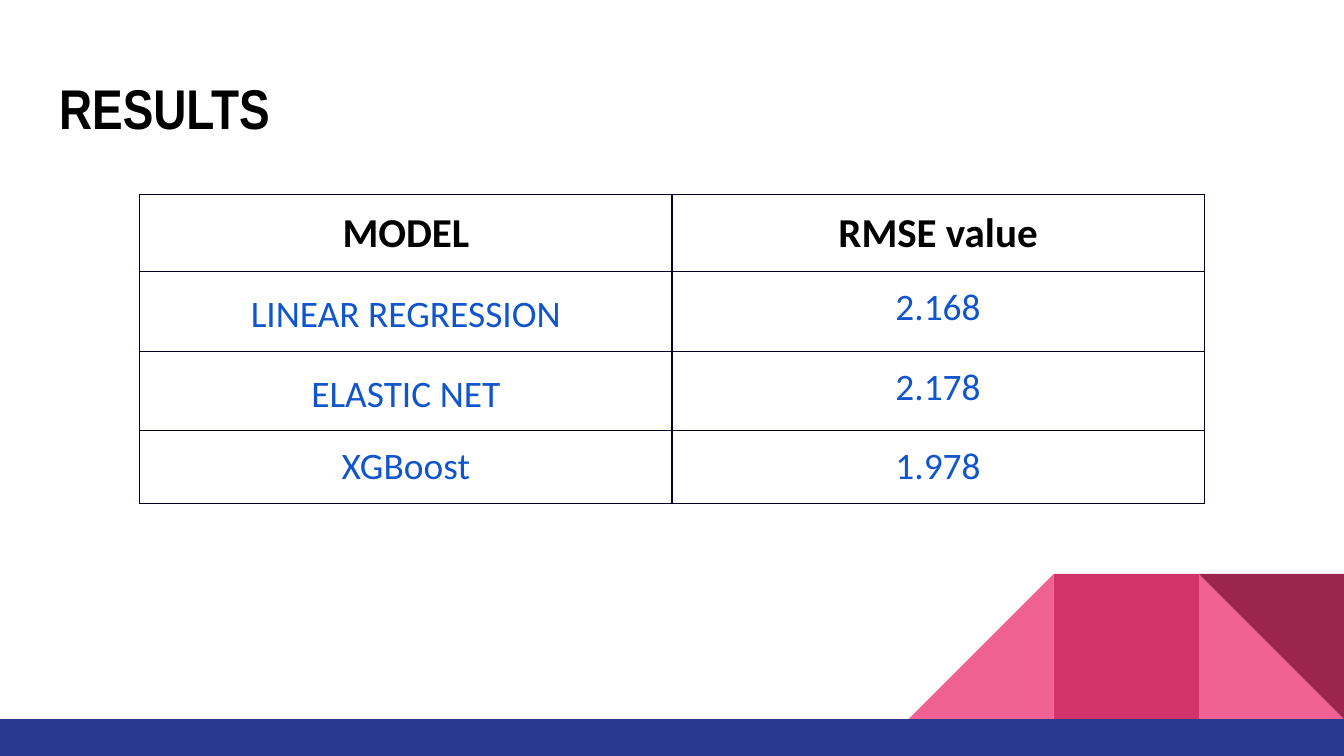
from lxml import etree
from pptx import Presentation
from pptx.dml.color import RGBColor
from pptx.enum.shapes import MSO_SHAPE as Shape
from pptx.enum.text import MSO_ANCHOR as Anchor, PP_ALIGN as Align
from pptx.oxml.ns import qn
from pptx.util import Inches, Pt

BLACK = RGBColor(0x00, 0x00, 0x00)
VALUE_BLUE = RGBColor(0x11, 0x55, 0xCC)
BORDER = RGBColor(0x02, 0x00, 0x25)
PINK = RGBColor(0xF0, 0x62, 0x92)
ROSE = RGBColor(0xD2, 0x33, 0x69)
WINE = RGBColor(0x9C, 0x25, 0x4D)
NAVY = RGBColor(0x2A, 0x39, 0x90)


def add_block(kind, left, top, width, height, color, rotation=0):
    block = slide.shapes.add_shape(
        kind, Inches(left), Inches(top), Inches(width), Inches(height))
    block.rotation = rotation
    block.shadow.inherit = False
    block.fill.solid()
    block.fill.fore_color.rgb = color
    block.line.fill.background()


def set_borders(cell, color, width):
    properties = cell._tc.get_or_add_tcPr()
    for position, side in enumerate(("a:lnL", "a:lnR", "a:lnT", "a:lnB")):
        line = etree.Element(qn(side), w=str(width))
        fill = etree.SubElement(line, qn("a:solidFill"))
        etree.SubElement(fill, qn("a:srgbClr"), val=str(color))
        properties.insert(position, line)


# Widescreen page, 16:9
prs = Presentation()
prs.slide_width, prs.slide_height = Inches(10), Inches(10 * 9 / 16)
slide = prs.slides.add_slide(prs.slide_layouts[5])

# Corner decoration: a row of squares and half squares above the footer bar
SIDE = 1.08
DECOR_TOP = 4.27
for kind, column, color, rotation in (
    (Shape.RIGHT_TRIANGLE, 1, PINK, 0),
    (Shape.RIGHT_TRIANGLE, 3, PINK, 270),
    (Shape.RECTANGLE, 2, ROSE, 0),
    (Shape.RIGHT_TRIANGLE, 1, WINE, 180),
):
    add_block(kind, 10 - column * SIDE, DECOR_TOP, SIDE, SIDE, color, rotation)
add_block(Shape.RECTANGLE, 0, DECOR_TOP + SIDE, 10, 0.28, NAVY)

# Title
title = slide.shapes.title
title.left, title.top = Inches(0.34), Inches(0.45)
title.width, title.height = Inches(9.32), Inches(0.66)
frame = title.text_frame
frame.text = "RESULTS"
frame.vertical_anchor = Anchor.TOP
frame.margin_left = frame.margin_right = Inches(0.1)
frame.margin_top = frame.margin_bottom = Inches(0.1)
heading = frame.paragraphs[0]
heading.alignment = Align.LEFT
heading.font.name = "Arial Narrow"
heading.font.size = Pt(30)
heading.font.bold = True
heading.font.color.rgb = BLACK

# Model scores
SCORES = (
    ("MODEL", "RMSE value"),
    ("LINEAR REGRESSION", "2.168"),
    ("ELASTIC NET", "2.178"),
    ("XGBoost", "1.978"),
)
ROW_HEIGHTS = (0.57, 0.59, 0.59, 0.54)
SPACED_MODELS = ("LINEAR REGRESSION", "ELASTIC NET")

table = slide.shapes.add_table(
    len(SCORES), 2, Inches(1.04), Inches(1.45),
    Inches(7.92), Inches(sum(ROW_HEIGHTS))).table
table.horz_banding = False
for row, (entries, height) in enumerate(zip(SCORES, ROW_HEIGHTS)):
    table.rows[row].height = Inches(height)
    is_header = row == 0
    for column, entry in enumerate(entries):
        cell = table.cell(row, column)
        cell.text = entry
        cell.fill.background()
        cell.margin_left = cell.margin_right = Inches(0.1)
        cell.margin_top = cell.margin_bottom = Inches(0.1)
        set_borders(cell, BORDER, Pt(0.75))
        label = cell.text_frame.paragraphs[0]
        label.alignment = Align.CENTER
        if entry in SPACED_MODELS:
            label.line_spacing = 1.15
            label.space_after = Pt(12)
        label.font.name = "Calibri"
        label.font.size = Pt(22 if is_header else 20)
        label.font.bold = is_header
        label.font.color.rgb = BLACK if is_header else VALUE_BLUE

prs.save("out.pptx")
